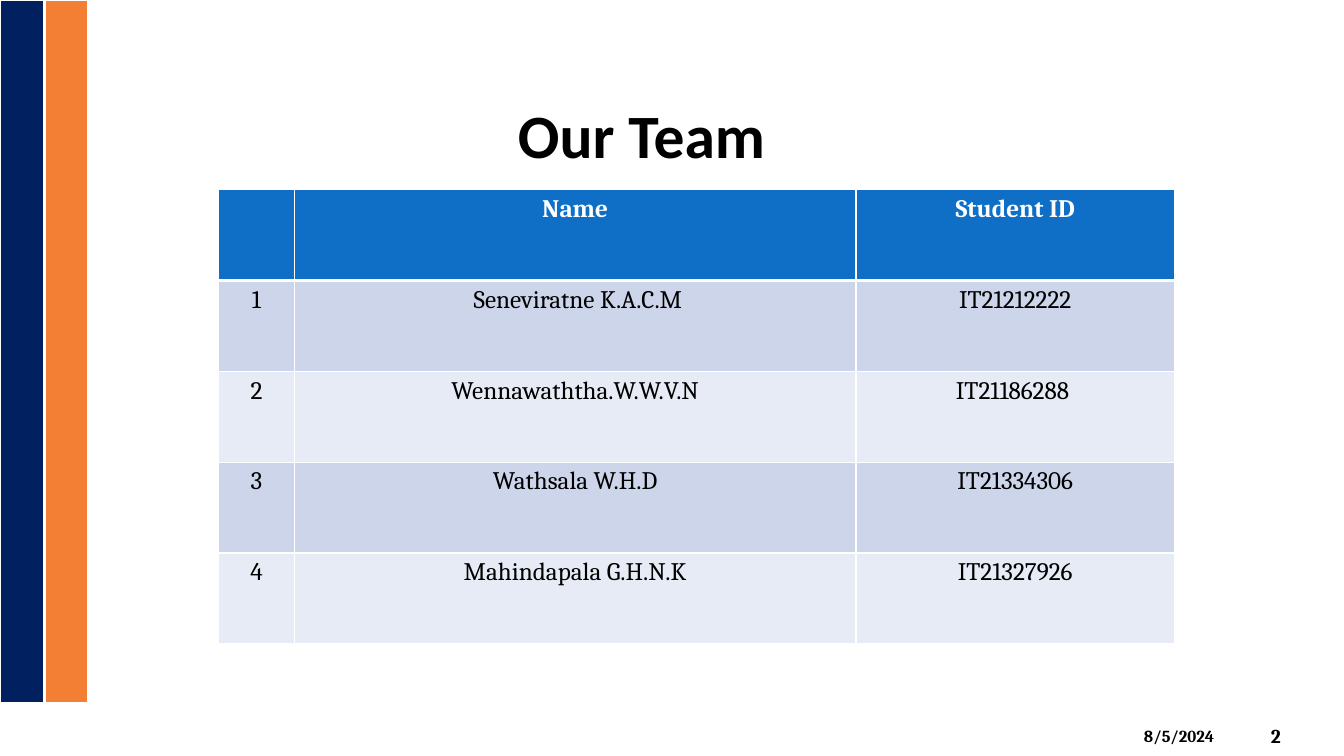
from dataclasses import dataclass

from lxml.etree import SubElement
from pptx import Presentation
from pptx.dml.color import RGBColor
from pptx.enum.shapes import MSO_SHAPE
from pptx.enum.text import MSO_ANCHOR, PP_ALIGN
from pptx.oxml.ns import qn
from pptx.util import Cm, Pt


@dataclass(frozen=True)
class Theme:
    """Colours, fonts and type sizes of the deck."""

    navy: str = "002060"
    orange: str = "F27F33"
    header: str = "0F6FC6"
    bands: tuple = ("CCD5EA", "E7EBF5")
    white: str = "FFFFFF"
    black: str = "000000"
    title_font: str = "Calibri"
    body_font: str = "Cambria"
    title_size: int = 44
    table_size: int = 18
    number_size: int = 14
    date_size: int = 12


THEME = Theme()
TEAM = [
    ("", "Name", "Student ID"),
    ("1", " Seneviratne K.A.C.M", "IT21212222"),
    ("2", "Wennawaththa.W.W.V.N", "IT21186288 "),
    ("3", "Wathsala W.H.D", "IT21334306"),
    ("4", "Mahindapala G.H.N.K", "IT21327926"),
]


def style_font(font, name, size, colour, bold):
    """Set the look of a paragraph font."""
    font.name, font.size, font.bold = name, Pt(size), bold
    font.color.rgb = RGBColor.from_string(colour)


def add_stripes(page, left, top, width, height):
    """Fill the box with two equal vertical stripes."""
    stripes = page.shapes.add_group_shape()
    for index, colour in enumerate((THEME.navy, THEME.orange)):
        stripe = stripes.shapes.add_shape(
            MSO_SHAPE.RECTANGLE, Cm(left + index * width / 2), Cm(top), Cm(width / 2), Cm(height)
        )
        stripe.shadow.inherit = False
        stripe.fill.solid()
        stripe.fill.fore_color.rgb = RGBColor.from_string(colour)
        stripe.line.color.rgb = RGBColor.from_string(THEME.white)
        stripe.line.width = Pt(2)


def place_title(page, text, left, top, width, height):
    """Move the title placeholder into the box and format it."""
    title = page.shapes.title
    title.left, title.top, title.width, title.height = map(Cm, (left, top, width, height))
    frame = title.text_frame
    frame.text = text
    frame.vertical_anchor = MSO_ANCHOR.MIDDLE
    para = frame.paragraphs[0]
    para.alignment = PP_ALIGN.CENTER
    style_font(para.font, THEME.title_font, THEME.title_size, THEME.black, True)


def set_borders(cell, bottom_width):
    """Draw white borders round a cell."""
    properties = cell._tc.get_or_add_tcPr()
    for side, width in (("L", 1), ("R", 1), ("T", 1), ("B", bottom_width)):
        line = SubElement(properties, qn(f"a:ln{side}"), w=str(Pt(width)))
        fill = SubElement(line, qn("a:solidFill"))
        SubElement(fill, qn("a:srgbClr"), val=THEME.white)


def add_team_table(page, rows, left, top, widths, row_height):
    """Lay out the team table with a header and banded rows."""
    table = page.shapes.add_table(
        len(rows), len(widths), Cm(left), Cm(top), Cm(sum(widths)), Cm(row_height * len(rows))
    ).table
    for column, width in zip(table.columns, widths):
        column.width = Cm(width)
    for row_index, values in enumerate(rows):
        is_header = row_index == 0
        fill = THEME.header if is_header else THEME.bands[(row_index - 1) % 2]
        colour = THEME.white if is_header else THEME.black
        for column_index, text in enumerate(values):
            cell = table.cell(row_index, column_index)
            set_borders(cell, 3 if is_header else 1)
            cell.fill.solid()
            cell.fill.fore_color.rgb = RGBColor.from_string(fill)
            cell.text = text
            para = cell.text_frame.paragraphs[0]
            para.alignment = PP_ALIGN.CENTER
            style_font(para.font, THEME.body_font, THEME.table_size, colour, is_header)


def add_footer_text(page, text, size, left, top, width, height):
    """Add a bold footer entry in the box."""
    frame = page.shapes.add_textbox(Cm(left), Cm(top), Cm(width), Cm(height)).text_frame
    frame.word_wrap = True
    frame.vertical_anchor = MSO_ANCHOR.MIDDLE
    para = frame.paragraphs[0]
    para.text = text
    style_font(para.font, THEME.body_font, size, THEME.black, True)


def build_team_page(deck):
    """Build the team slide."""
    page = deck.slides.add_slide(deck.slide_layouts[5])
    add_footer_text(page, "2", THEME.number_size, 31.78, 18.03, 1.88, 1.02)
    add_footer_text(page, "8/5/2024", THEME.date_size, 28.58, 18.16, 2.97, 0.76)
    place_title(page, "Our Team", 1.78, 1.32, 28.78, 4.09)
    add_stripes(page, 0, 0, 2.24, 17.73)
    add_team_table(page, TEAM, 5.51, 4.78, (1.91, 14.15, 8.03), 2.29)


def main():
    """Create and save the deck."""
    deck = Presentation()
    deck.slide_width, deck.slide_height = Cm(33.87), Cm(19.05)
    build_team_page(deck)
    deck.save("out.pptx")


if __name__ == "__main__":
    main()
